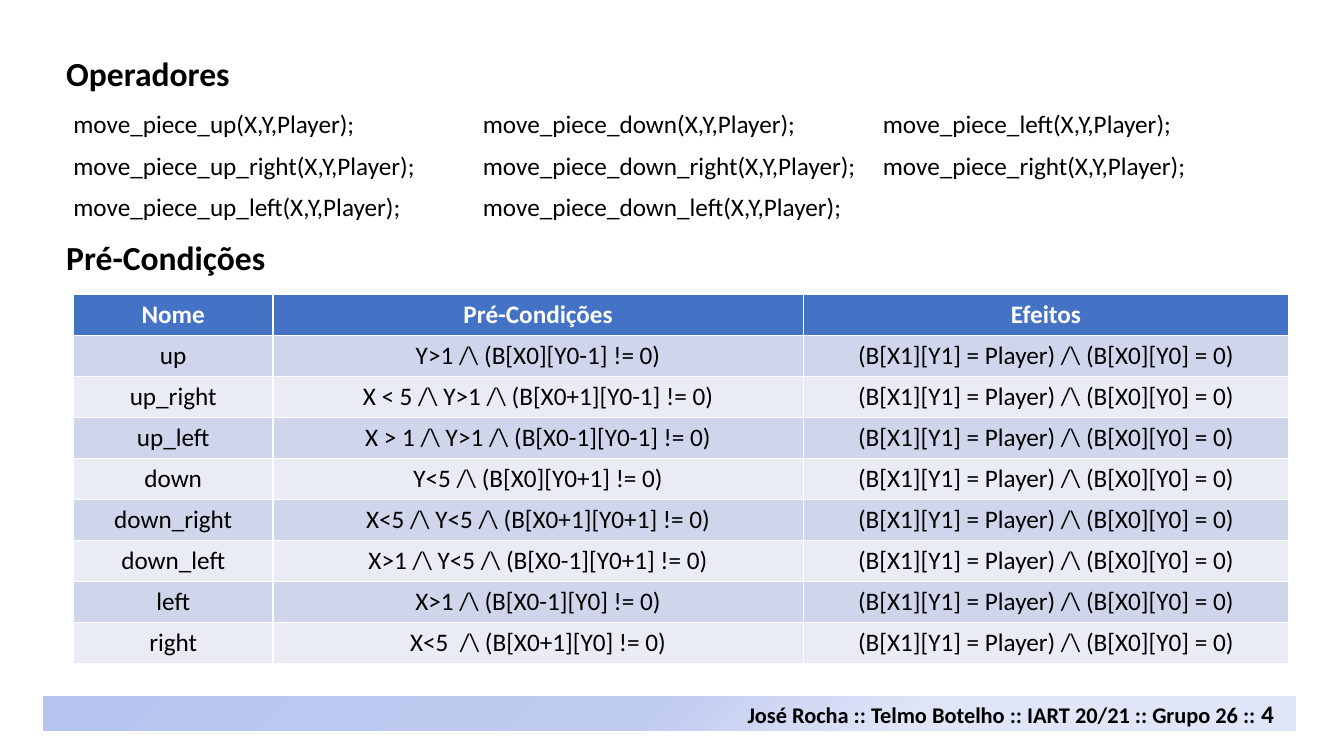
from copy import deepcopy
from pptx import Presentation
from pptx.util import Cm, Pt
from pptx.dml.color import RGBColor
from pptx.enum.shapes import MSO_SHAPE as Shape
from pptx.enum.text import PP_ALIGN as Align
from pptx.oxml import parse_xml
from pptx.oxml.ns import qn, nsdecls


def rgb(code):
    return RGBColor.from_string(code)


def write(para, text, size, bold=False, color="000000"):
    run = para.add_run()
    run.text = text
    look = {"name": "Calibri", "size": Pt(size), "bold": bold}
    for key, value in look.items():
        setattr(run.font, key, value)
    run.font.color.rgb = rgb(color)


deck = Presentation()
deck.slide_width, deck.slide_height = Cm(33.87), Cm(19.05)
slide = deck.slides.add_slide(deck.slide_layouts[6])
shapes = slide.shapes

# Footer bar with a three-stop gradient
bar = shapes.add_shape(Shape.RECTANGLE, Cm(1.09), Cm(17.55), Cm(31.57), Cm(0.87))
bar.shadow.inherit = False
bar.line.fill.background()
bar.fill.gradient()
bar.fill.gradient_angle = 315
stops = next(bar._element.iter(qn("a:gsLst")))
stops.append(deepcopy(stops[-1]))
shades = [(0, "B6C4F0"), (0.48, "C0CBF0"), (0.7, "E0E5F7")]
for stop, (place, shade) in zip(bar.fill.gradient_stops, shades):
    stop.position = place
    stop.color.rgb = rgb(shade)

# Footer text
foot = shapes.add_textbox(Cm(18.59), Cm(17.48), Cm(14.12), Cm(1.02)).text_frame
foot.word_wrap = True
line = foot.paragraphs[0]
write(line, "José Rocha :: Telmo Botelho :: IART 20/21 :: Grupo 26 :: ", 16, True)
write(line, "4", 18, True)

# Headings
for title, top in [("Operadores", 1.32), ("Pré-Condições", 5.95)]:
    head = shapes.add_textbox(Cm(1.42), Cm(top), Cm(8.18), Cm(1.2)).text_frame
    head.word_wrap = True
    head.paragraphs[0].line_spacing = 0.9
    write(head.paragraphs[0], title, 24, True)

# Operators, in three columns set by tab stops
moves = [
    ["up", "down", "left"],
    ["up_right", "down_right", "right"],
    ["up_left", "down_left"],
]
tabs = [10.32, 20.4]
body = shapes.add_textbox(Cm(1.6), Cm(2.7), Cm(31.11), Cm(3.2)).text_frame
body.word_wrap = True
for i, names in enumerate(moves):
    para = body.paragraphs[0] if i == 0 else body.add_paragraph()
    para.line_spacing, para.space_before = 0.9, Pt(10)
    marks = "".join(f'<a:tab pos="{Cm(tab)}" algn="l"/>' for tab in tabs)
    para._p.get_or_add_pPr().append(
        parse_xml(f'<a:tabLst {nsdecls("a")}>{marks}</a:tabLst>'))
    write(para, "\t".join(f"move_piece_{name}(X,Y,Player);" for name in names), 18)

# Table of conditions and effects; the default style gives the white borders
effect = r"(B[X1][Y1] = Player) /\ (B[X0][Y0] = 0)"
rules = [
    ("up", r"Y>1 /\ (B[X0][Y0-1] != 0)"),
    ("up_right", r"X < 5 /\ Y>1 /\ (B[X0+1][Y0-1] != 0)"),
    ("up_left", r"X > 1 /\ Y>1 /\ (B[X0-1][Y0-1] != 0)"),
    ("down", r"Y<5 /\ (B[X0][Y0+1] != 0)"),
    ("down_right", r"X<5 /\ Y<5 /\ (B[X0+1][Y0+1] != 0)"),
    ("down_left", r"X>1 /\ Y<5 /\ (B[X0-1][Y0+1] != 0)"),
    ("left", r"X>1 /\ (B[X0-1][Y0] != 0)"),
    ("right", r"X<5  /\ (B[X0+1][Y0] != 0)"),
]
rows = [("Nome", "Pré-Condições", "Efeitos")]
rows += [(name, test, effect) for name, test in rules]
widths = [5.03, 13.36, 12.24]
grid = shapes.add_table(len(rows), len(widths), Cm(1.85), Cm(7.42),
                        Cm(sum(widths)), Cm(9.3)).table
for col, width in zip(grid.columns, widths):
    col.width = Cm(width)
for r, row in enumerate(rows):
    top = r == 0
    band = "4472C4" if top else "CFD5EA" if r % 2 else "E9EBF5"
    for c, text in enumerate(row):
        cell = grid.cell(r, c)
        cell.fill.solid()
        cell.fill.fore_color.rgb = rgb(band)
        para = cell.text_frame.paragraphs[0]
        para.alignment = Align.CENTER
        write(para, text, 18, top, "FFFFFF" if top else "000000")

deck.save("out.pptx")
